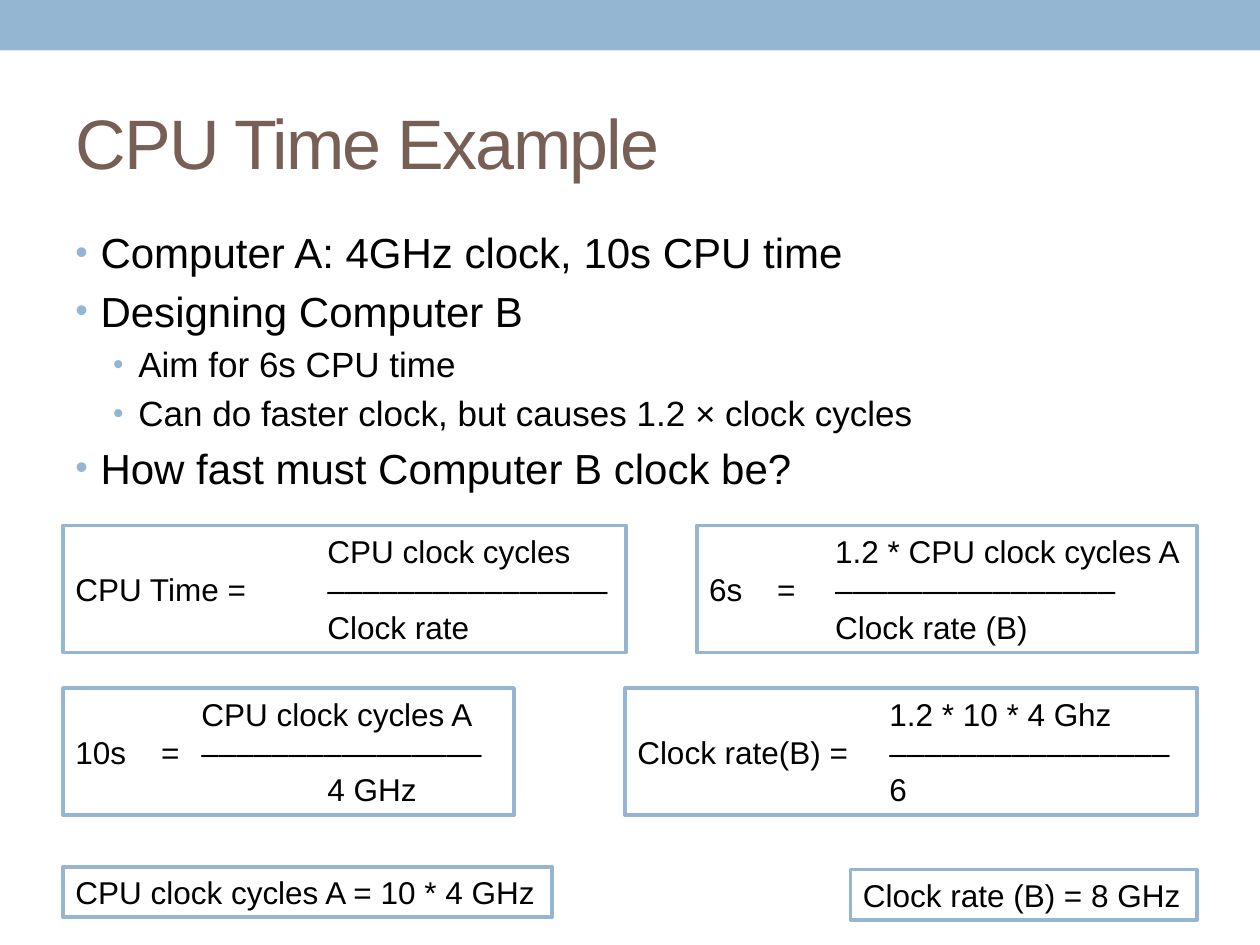
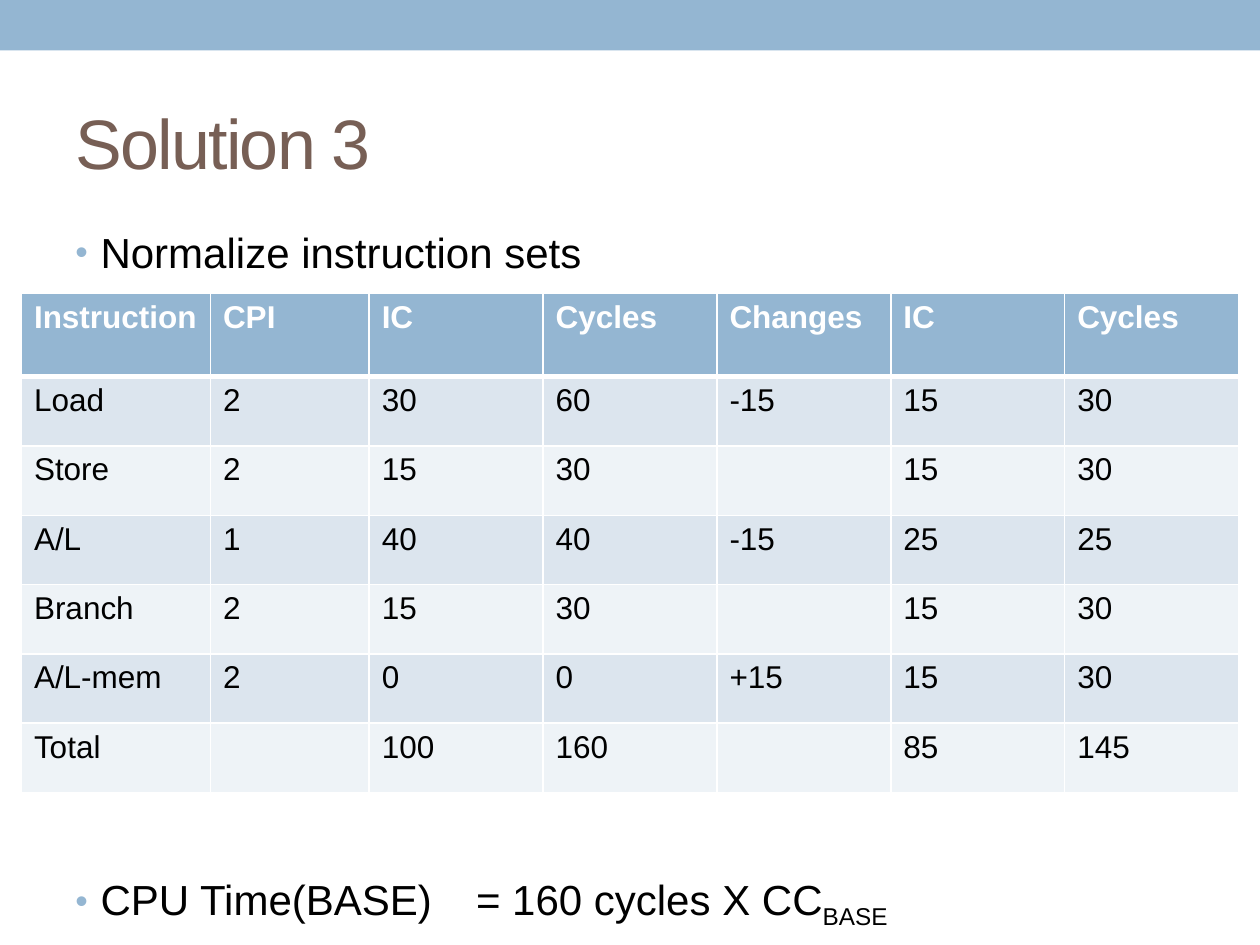
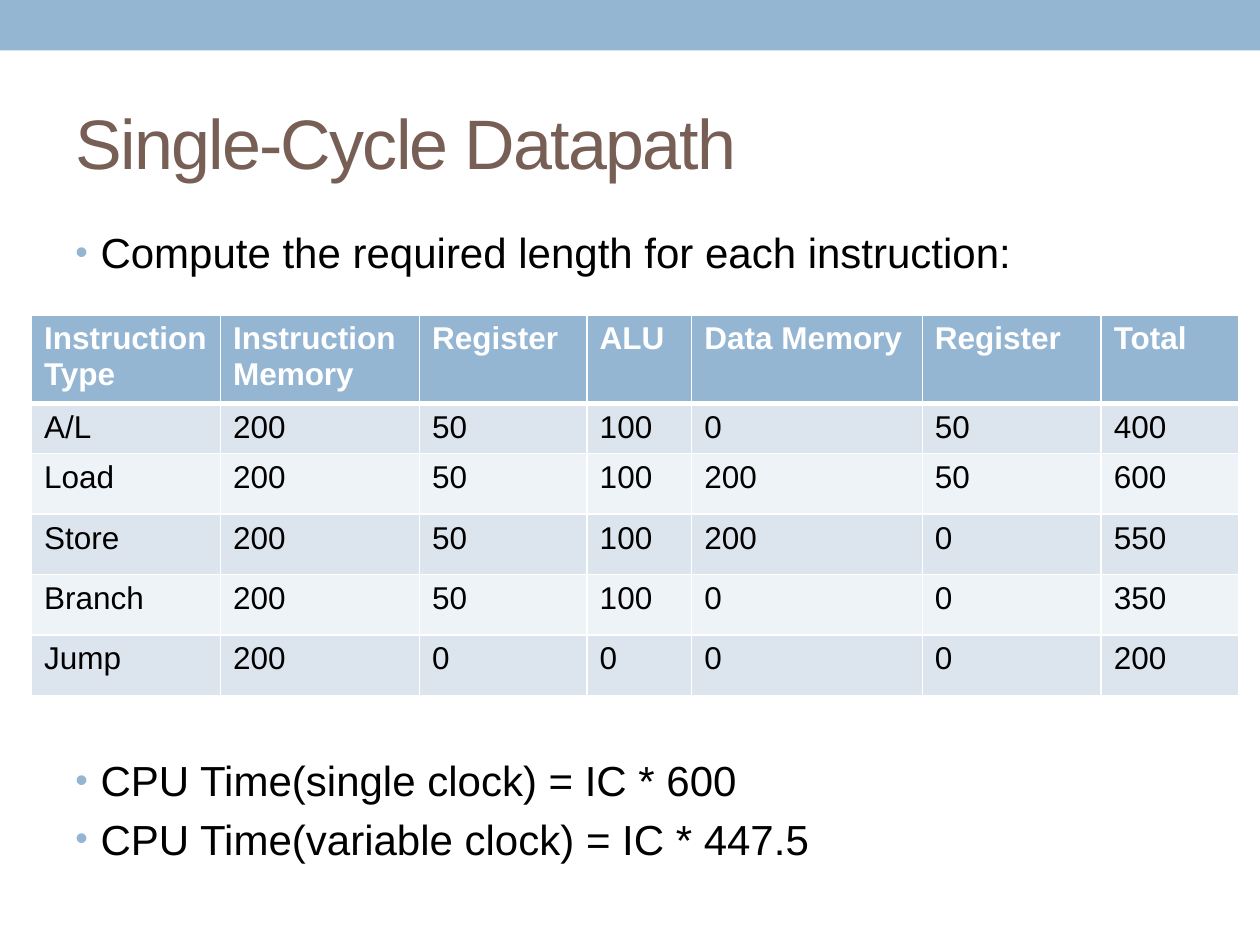
import pptx
import pptx.util
import pptx.dml.color
import pptx.enum.shapes
import pptx.enum.text
import pptx.oxml
import pptx.oxml.ns
import lxml.etree

Inch, Pt = pptx.util.Inches, pptx.util.Pt
rgb = pptx.dml.color.RGBColor.from_string
qn = pptx.oxml.ns.qn
RECT = pptx.enum.shapes.MSO_SHAPE.RECTANGLE
MID = pptx.enum.text.MSO_ANCHOR.MIDDLE
LEFT = pptx.enum.text.PP_ALIGN.LEFT

HUE = {"blue": "94B6D2", "brown": "775F55", "black": "000000",
       "white": "FFFFFF", "odd": "DCE5EE", "even": "EEF3F7"}
WIDE, HIGH = 10, 7.5
EDGE = WIDE / 20          # side margin
SPAN = WIDE - 2 * EDGE    # text width
TOP = 1.75                # first row of body text


# Write one paragraph: bullet level, tab stops and font
def write(para, text, size, color="black", bold=False, level=None, stops=()):
    para.alignment = LEFT
    props = para._p.get_or_add_pPr()
    if level is not None:
        para.level = level
        props.set("marL", str(Inch(0.2 + 0.3 * level)))
        props.set("indent", str(Inch(-0.2)))
        space = lxml.etree.SubElement(props, qn("a:spcBef"))
        lxml.etree.SubElement(space, qn("a:spcPct"), val="20000")
        tint = lxml.etree.SubElement(props, qn("a:buClr"))
        lxml.etree.SubElement(tint, qn("a:srgbClr"), val=HUE["blue"])
        lxml.etree.SubElement(props, qn("a:buSzPct"), val="85000")
        lxml.etree.SubElement(props, qn("a:buFont"), typeface="Arial")
        lxml.etree.SubElement(props, qn("a:buChar"), char="•")
    if stops:
        tabs = lxml.etree.SubElement(props, qn("a:tabLst"))
        for stop in stops:
            lxml.etree.SubElement(tabs, qn("a:tab"), pos=str(Inch(stop)), algn="l")
    font = para.font
    font.name, font.size, font.bold = "Arial", Pt(size), bold
    font.color.rgb = rgb(HUE[color])
    run = para.add_run()
    run.text = text
    return run


# Draw a table with a blue head and striped rows
def grid(slide, left, top, cols, rows, data):
    table = slide.shapes.add_table(
        len(rows), len(cols), Inch(left), Inch(top),
        Inch(sum(cols)), Inch(sum(rows))).table
    for col, width in zip(table.columns, cols):
        col.width = Inch(width)
    for r, (line, tall) in enumerate(zip(data, rows)):
        table.rows[r].height = Inch(tall)
        for c, text in enumerate(line):
            cell = table.cell(r, c)
            props = cell._tc.get_or_add_tcPr()
            for side in "LRTB":
                thick = (r, side) in ((0, "B"), (1, "T"))
                rule = lxml.etree.SubElement(
                    props, qn("a:ln" + side), w=str(Pt(3 if thick else 1)))
                fill = lxml.etree.SubElement(rule, qn("a:solidFill"))
                lxml.etree.SubElement(fill, qn("a:srgbClr"), val=HUE["white"])
            cell.fill.solid()
            shade = "blue" if r == 0 else "odd" if r % 2 else "even"
            cell.fill.fore_color.rgb = rgb(HUE[shade])
            write(cell.text_frame.paragraphs[0], text, 18,
                  "black" if r else "white", bold=r == 0)


deck = pptx.Presentation()
deck.slide_width, deck.slide_height = Inch(WIDE), Inch(HIGH)

# Bullet blocks per slide: top, then (level, text, subscript)
pages = [
    ("CPU Time Example", [
        (TOP, [(0, "Computer A: 4GHz clock, 10s CPU time", ""),
               (0, "Designing Computer B", ""),
               (1, "Aim for 6s CPU time", ""),
               (1, "Can do faster clock, but causes 1.2 × clock cycles", ""),
               (0, "How fast must Computer B clock be?", "")])]),
    ("Solution 3", [
        (TOP, [(0, "Normalize instruction sets", "")]),
        (6.88, [(0, "CPU Time(BASE)\t= 160 cycles X CC", "BASE")])]),
    ("Single-Cycle Datapath", [
        (TOP, [(0, "Compute the required length for each instruction:", "")]),
        (5.94, [(0, "CPU Time(single clock) = IC * 600", ""),
                (0, "CPU Time(variable clock) = IC * 447.5", "")])]),
]

# Band, title and bullets
for title, blocks in pages:
    slide = deck.slides.add_slide(deck.slide_layouts[6])
    band = slide.shapes.add_shape(RECT, 0, 0, Inch(WIDE), Inch(0.4))
    band.shadow.inherit = False
    band.fill.solid()
    band.fill.fore_color.rgb = rgb(HUE["blue"])
    band.line.fill.background()

    head = slide.shapes.add_textbox(
        Inch(EDGE), Inch(0.58), Inch(SPAN), Inch(1.08)).text_frame
    head.word_wrap, head.vertical_anchor = True, MID
    run = write(head.paragraphs[0], title, 40, "brown")
    run._r.get_or_add_rPr().set("spc", "-100")

    for top, items in blocks:
        body = slide.shapes.add_textbox(
            Inch(EDGE), Inch(top), Inch(SPAN), Inch(0.5 * len(items))).text_frame
        body.word_wrap = True
        for i, (level, text, sub) in enumerate(items):
            para = body.add_paragraph() if i else body.paragraphs[0]
            write(para, text, 24 - 4 * level, level=level,
                  stops=(3.18,) if "\t" in text else ())
            if sub:
                tail = para.add_run()
                tail.text = sub
                tail._r.get_or_add_rPr().set("baseline", "-25000")

first, second, third = deck.slides

# Formula boxes: left, top, width, height, lines, stops of the middle line
BAR = "–" * 16
boxes = [
    (0.5, 4.17, 4.47, 1.01,
     ["\t\tCPU clock cycles", "CPU Time =\t" + BAR, "\t\tClock rate"], (2,)),
    (0.5, 5.46, 3.58, 1.01,
     ["\tCPU clock cycles A", "10s\t=\t" + BAR, "\t\t4 GHz"], (0.68, 1)),
    (0.5, 6.88, 3.88, 0.4, ["CPU clock cycles A = 10 * 4 GHz"], ()),
    (6.75, 6.9, 2.75, 0.4, ["Clock rate (B) = 8 GHz"], ()),
    (5.53, 4.17, 3.97, 1.01,
     ["\t1.2 * CPU clock cycles A", "6s\t=\t" + BAR, "\tClock rate (B)"],
     (0.54, 1)),
    (4.96, 5.46, 4.54, 1.01,
     ["\t\t1.2 * 10 * 4 Ghz", "Clock rate(B) =\t" + BAR, "\t\t6"], (2,)),
]
for left, top, width, tall, lines, stops in boxes:
    box = first.shapes.add_shape(
        RECT, Inch(left), Inch(top), Inch(width), Inch(tall))
    box.shadow.inherit = False
    box.fill.solid()
    box.fill.fore_color.rgb = rgb(HUE["white"])
    box.line.color.rgb = rgb(HUE["blue"])
    box.line.width = Pt(2.08)
    frame = box.text_frame
    frame.word_wrap, frame.vertical_anchor = True, MID
    for i, text in enumerate(lines):
        para = frame.add_paragraph() if i else frame.paragraphs[0]
        write(para, text, 18, stops=stops if i == 1 else (1, 2))

# Instruction counts
grid(second, 0.17, 2.33, [1.5, 1.26] + [1.38] * 5, [0.66] + [0.55] * 6, [
    ("Instruction", "CPI", "IC", "Cycles", "Changes", "IC", "Cycles"),
    ("Load", "2", "30", "60", "-15", "15", "30"),
    ("Store", "2", "15", "30", "", "15", "30"),
    ("A/L", "1", "40", "40", "-15", "25", "25"),
    ("Branch", "2", "15", "30", "", "15", "30"),
    ("A/L-mem", "2", "0", "0", "+15", "15", "30"),
    ("Total", "", "100", "160", "", "85", "145"),
])

# Instruction lengths
grid(third, 0.25, 2.5, [1.5, 1.58, 1.33, 0.83, 1.83, 1.42, 1.09],
     [0.66, 0.38] + [0.48] * 4, [
    ("Instruction Type", "Instruction Memory", "Register", "ALU",
     "Data Memory", "Register", "Total"),
    ("A/L", "200", "50", "100", "0", "50", "400"),
    ("Load", "200", "50", "100", "200", "50", "600"),
    ("Store", "200", "50", "100", "200", "0", "550"),
    ("Branch", "200", "50", "100", "0", "0", "350"),
    ("Jump", "200", "0", "0", "0", "0", "200"),
])

deck.save("out.pptx")
